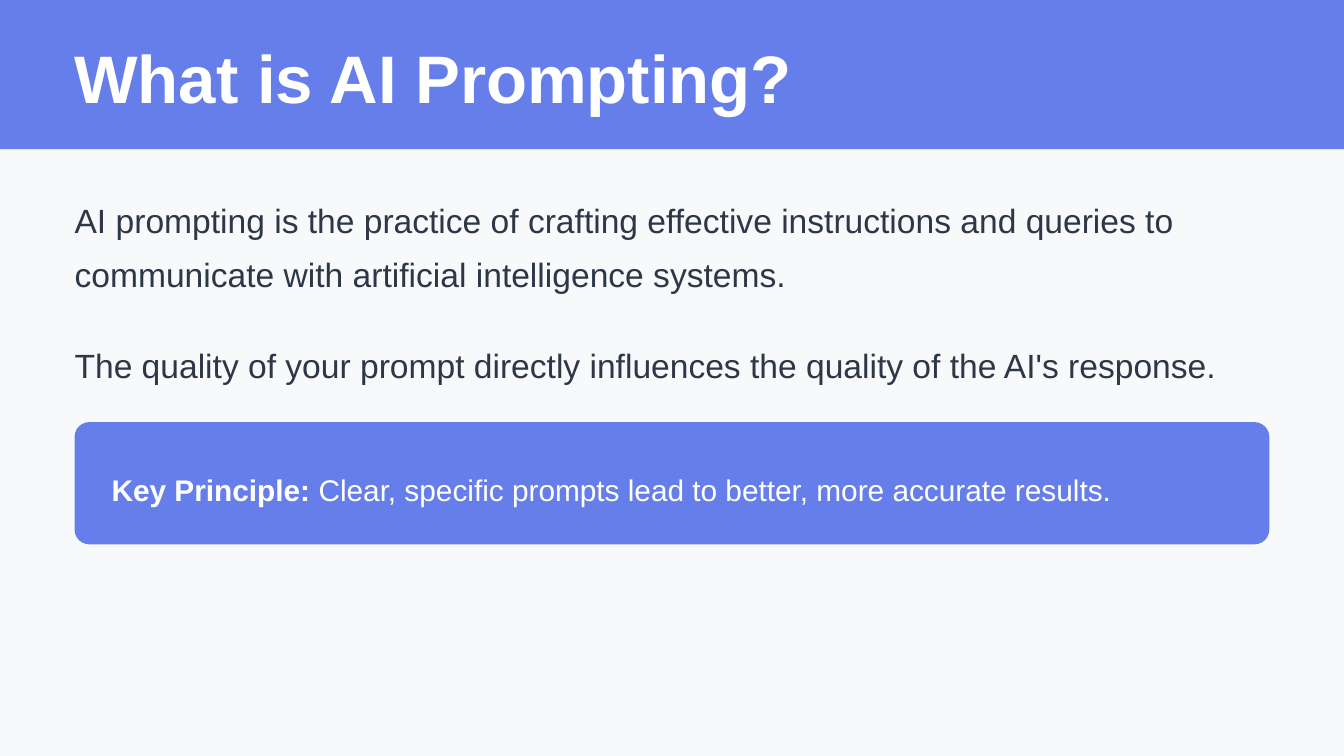
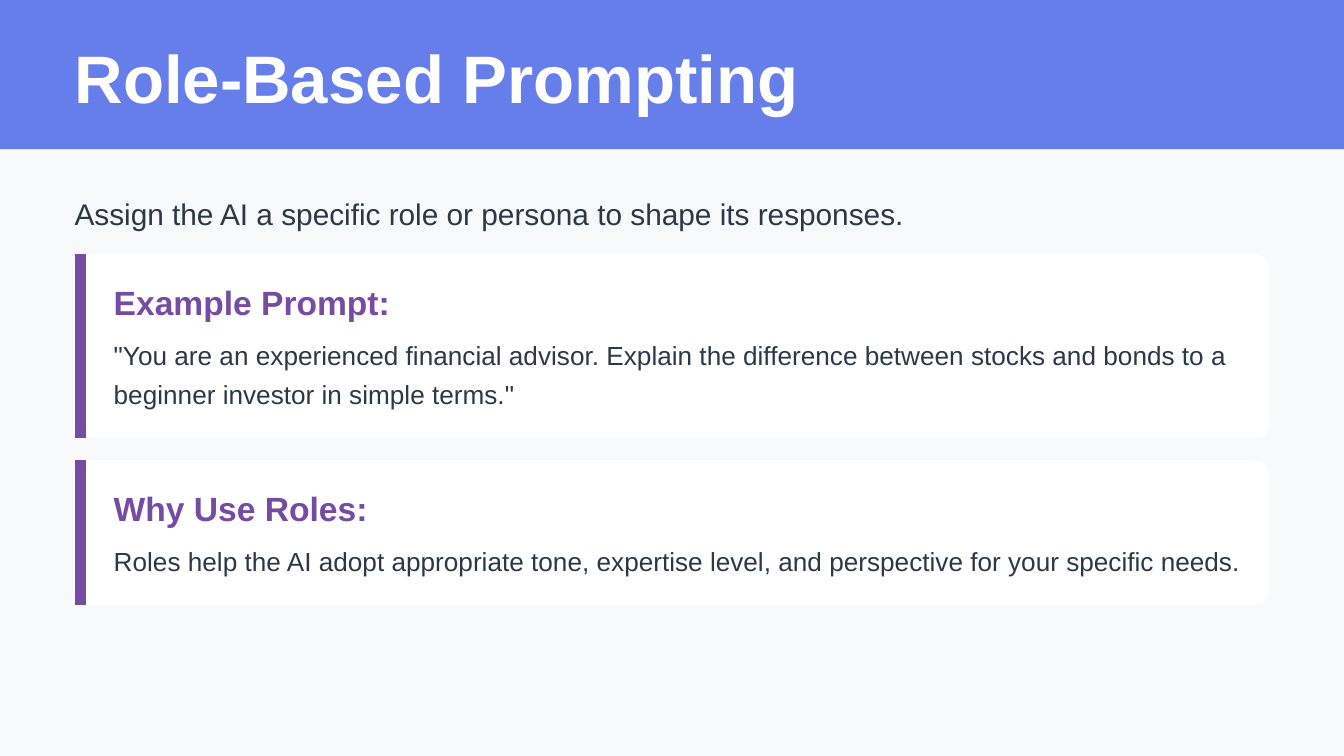
from lxml import etree
from pptx import Presentation
from pptx import util as u
from pptx.dml.color import RGBColor
from pptx.enum import shapes, text
from pptx.oxml.ns import qn

BLUE, PURPLE, INK = "667EEA", "764BA2", "2D3748"
WHITE, PAPER = "FFFFFF", "F8F9FA"
SLIDE_W, SLIDE_H = 25.4, 14.29
LEFT, CONTENT_W = 1.41, 22.58
RADIUS = 0.28
CARD_GAP = 0.42
CARD_PADDING = 2.0  # card height beyond its lines of body text
CARD_LINE = 0.74  # 21 pt

TITLE = {"size": u.Pt(36), "bold": True}
HEADING = {"size": u.Pt(18), "bold": True}


def rgb(value):
    return RGBColor.from_string(value)


def apply(target, values):
    for name, value in values.items():
        setattr(target, name, value)


def box(left, top, width, height):
    return [u.Cm(v) for v in (left, top, width, height)]


class Deck:
    """Holds the presentation, its style and the current slide."""

    font = "Arial"
    frame_format = {
        "margin_left": 0, "margin_right": 0, "margin_top": 0, "margin_bottom": 0,
        "word_wrap": True,
        "auto_size": text.MSO_AUTO_SIZE.NONE,
        "vertical_anchor": text.MSO_ANCHOR.TOP,
    }

    def __init__(self):
        self.prs = Presentation()
        self.prs.slide_width, self.prs.slide_height = u.Cm(SLIDE_W), u.Cm(SLIDE_H)
        self.slide = None

    def start(self, title):
        """Add a slide with its background, header band and title."""
        self.slide = self.prs.slides.add_slide(self.prs.slide_layouts[1])
        fill = self.slide.background.fill
        fill.solid()
        fill.fore_color.rgb = rgb(PAPER)
        band = self.panel(0, 0, SLIDE_W, 2.82, BLUE)
        self.slide.shapes._spTree.insert(2, band._element)  # behind the title
        heading = self.slide.shapes.title
        self.place(heading, LEFT, 0.69, CONTENT_W, 1.45)
        self.fill_text(heading, [[(title, TITLE)]], WHITE)

    def place(self, shape, *bounds):
        names = ("left", "top", "width", "height")
        apply(shape, dict(zip(names, box(*bounds))))

    def fill_text(self, shape, paragraphs, color, line=None, after=0):
        """Fill a shape with paragraphs, each a list of (words, font format)."""
        frame = shape.text_frame
        apply(frame, self.frame_format)
        layout = {"alignment": text.PP_ALIGN.LEFT, "space_before": u.Pt(0),
                  "space_after": u.Pt(after),
                  "line_spacing": u.Pt(line) if line else 1.0}
        for i, runs in enumerate(paragraphs):
            paragraph = frame.add_paragraph() if i else frame.paragraphs[0]
            apply(paragraph, layout)
            for words, font_format in runs:
                run = paragraph.add_run()
                run.text = words
                apply(run.font, {"name": self.font, **font_format})
                run.font.color.rgb = rgb(color)

    def intro(self, sentences, size, line, after, height):
        body = self.slide.placeholders[1]
        self.place(body, LEFT, 3.53, 23.04, height)
        self.fill_text(body, [[(s, {"size": u.Pt(size)})] for s in sentences],
                       INK, line, after)
        for paragraph in body.text_frame.paragraphs:
            props = paragraph._p.get_or_add_pPr()
            props.set("marL", "0")
            props.set("indent", "0")
            etree.SubElement(props, qn("a:buNone"))

    def label(self, bounds, runs, color, line=None):
        label = self.slide.shapes.add_textbox(*box(*bounds))
        self.fill_text(label, [runs], color, line)

    def panel(self, left, top, width, height, color, radius=0):
        kinds = shapes.MSO_SHAPE
        kind = kinds.ROUNDED_RECTANGLE if radius else kinds.RECTANGLE
        panel = self.slide.shapes.add_shape(kind, *box(left, top, width, height))
        if radius:
            panel.adjustments[0] = radius / min(width, height)
        panel.shadow.inherit = False
        panel.fill.solid()
        panel.fill.fore_color.rgb = rgb(color)
        panel.line.fill.background()
        return panel

    def accent(self, x, top, bottom):
        accent = self.slide.shapes.add_connector(
            shapes.MSO_CONNECTOR.STRAIGHT, *box(x, top, x, bottom))
        accent.line.color.rgb = rgb(PURPLE)
        accent.line.width = u.Pt(6)
        etree.SubElement(accent._element.spPr, qn("a:effectLst"))

    def callout(self, top, lead, message):
        self.panel(LEFT, top, CONTENT_W, 2.31, BLUE, RADIUS)
        size = u.Pt(16)
        runs = [(lead, {"size": size, "bold": True}),
                (message, {"size": size, "bold": False})]
        self.label((2.11, top + 0.71, 21.59, 0.91), runs, WHITE, 25.6)

    def card(self, top, heading, body, lines):
        """Draw a card for the given number of body lines; return its bottom."""
        height = CARD_PADDING + lines * CARD_LINE
        self.panel(LEFT, top, CONTENT_W, height, WHITE, RADIUS)
        self.accent(1.52, top, top + height)
        self.label((2.15, top + 0.53, 21.74, 0.74), [(heading, HEADING)], PURPLE)
        self.label((2.15, top + 1.47, 21.74, lines * CARD_LINE),
                   [(body, {"size": u.Pt(14)})], INK, 21)
        return top + height


def main():
    deck = Deck()

    deck.start("What is AI Prompting?")
    deck.intro([
        "AI prompting is the practice of crafting effective instructions and "
        "queries to communicate with artificial intelligence systems.",
        "The quality of your prompt directly influences the quality of the "
        "AI's response.",
    ], size=18, line=28.8, after=20, height=3.76)
    deck.callout(7.98, "Key Principle:",
                 " Clear, specific prompts lead to better, more accurate results.")

    deck.start("Role-Based Prompting")
    deck.intro(["Assign the AI a specific role or persona to shape its responses."],
               size=16, line=24, after=12, height=0.85)
    cards = [
        ("Example Prompt:",
         '"You are an experienced financial advisor. Explain the difference '
         'between stocks and bonds to a beginner investor in simple terms."', 2),
        ("Why Use Roles:",
         "Roles help the AI adopt appropriate tone, expertise level, and "
         "perspective for your specific needs.", 1),
    ]
    top = 4.8
    for heading, body, lines in cards:
        top = deck.card(top, heading, body, lines) + CARD_GAP

    deck.prs.save("out.pptx")


if __name__ == "__main__":
    main()
